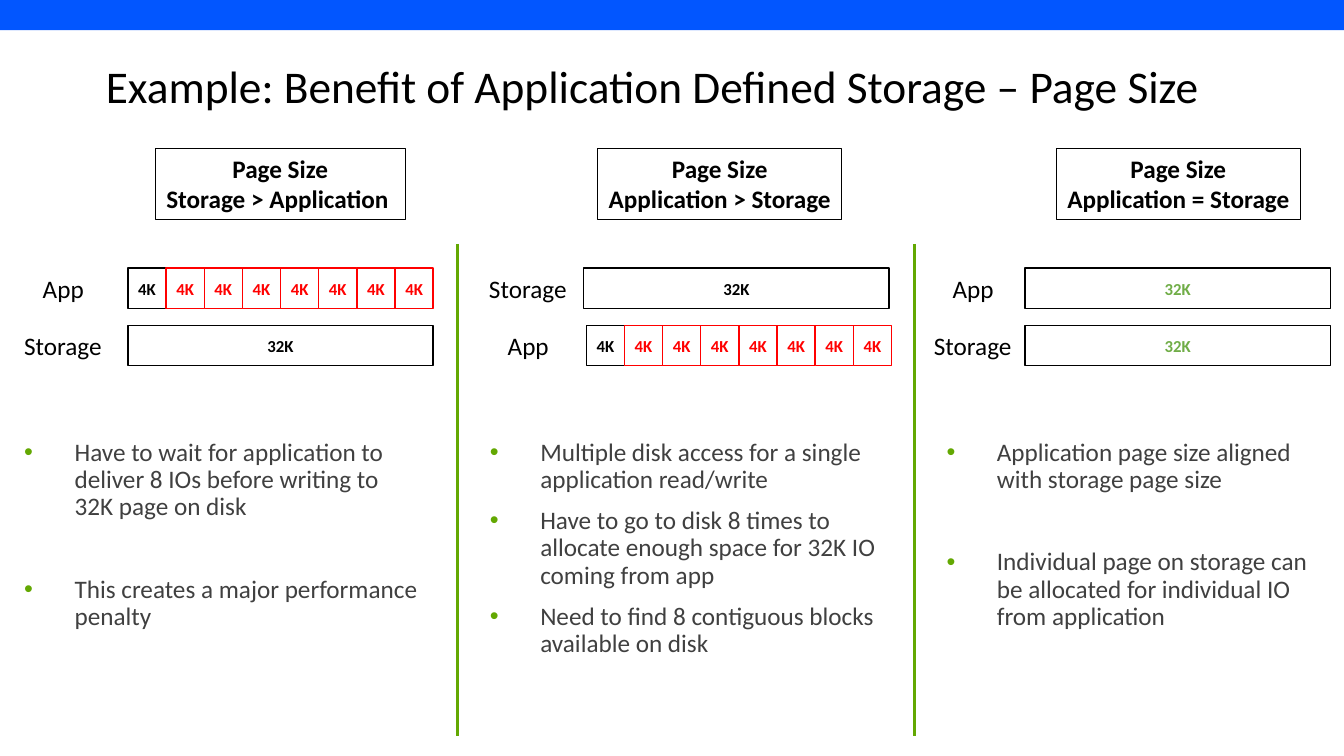
from dataclasses import dataclass
from typing import Any

from lxml import etree
from pptx import Presentation
from pptx.dml.color import RGBColor
from pptx.enum.shapes import MSO_CONNECTOR, MSO_SHAPE
from pptx.enum.text import MSO_ANCHOR, MSO_AUTO_SIZE, PP_ALIGN
from pptx.oxml.ns import qn
from pptx.util import Pt

RECTANGLE = MSO_SHAPE.RECTANGLE
STRAIGHT = MSO_CONNECTOR.STRAIGHT
TOP, MIDDLE = MSO_ANCHOR.TOP, MSO_ANCHOR.MIDDLE
NO_FIT = MSO_AUTO_SIZE.NONE
LEFT, CENTER = PP_ALIGN.LEFT, PP_ALIGN.CENTER

FONT = "Calibri"
BLACK, WHITE, RED = "000000", "FFFFFF", "FF0000"
BLUE, GREEN, LEAF, GRAY = "0256FF", "63A802", "70AD47", "404040"

PAGE_WIDTH, PAGE_HEIGHT = 960, 540
CELL_WIDTH, BAR_HEIGHT = 27.25, 29
CELL_COUNT = 8
ROW_TOPS = (191.5, 232.3)
LABEL_WIDTHS = {"App": 43.9, "Storage": 70.6}
HEADING_TOP, HEADING_HEIGHT = 106, 51
LIST_TOP = 310.3
DIVIDERS = (327, 653)
DIVIDER_TOP, DIVIDER_BOTTOM = 174.2, 525.6


@dataclass
class Row:
    label: str
    left: float
    split: bool = False
    color: str = BLACK


@dataclass
class Column:
    heading: str
    heading_left: float
    heading_width: float
    label_center: float
    rows: tuple[Row, Row]
    placeholder: int
    list_left: float
    list_width: float
    list_height: float
    list_gap: float
    points: tuple[str, ...]


COLUMNS = (
    Column("Storage > Application ", 110.9, 178.6, 45.4,
           (Row("App", 91.4, split=True), Row("Storage", 91.4)),
           1, 10.1, 298.8, 193.7, 39.5,
           ("Have to wait for application to deliver 8 IOs before writing to 32K page on disk",
            "This creates a major performance penalty")),
    Column("Application > Storage", 427, 174.2, 377.5,
           (Row("Storage", 417), Row("App", 418.8, split=True)),
           2, 342.7, 294.5, 193.7, 10,
           ("Multiple disk access for a single application read/write",
            "Have to go to disk 8 times to allocate enough space for 32K IO coming from app",
            "Need to find 8 contiguous blocks available on disk")),
    Column("Application = Storage", 754.6, 174.2, 695.3,
           (Row("App", 732.2, color=LEAF), Row("Storage", 732.2, color=LEAF)),
           4, 668.9, 282.2, 161.3, 39.5,
           ("Application page size aligned with storage page size",
            "Individual page on storage can be allocated for individual IO from application")),
)


def rgb(value: str) -> RGBColor:
    return RGBColor.from_string(value)


def apply_format(target: Any, values: dict[str, Any]) -> None:
    for name, value in values.items():
        setattr(target, name, value)


def place(shape: Any, left: float, top: float, width: float, height: float) -> None:
    apply_format(shape, {"left": Pt(left), "top": Pt(top),
                         "width": Pt(width), "height": Pt(height)})


def write(shape: Any, lines: tuple[str, ...], size: float, color: str, bold: bool = False,
          align: Any = LEFT, anchor: Any = TOP, wrap: bool = True) -> list[Any]:
    frame = shape.text_frame
    apply_format(frame, {"auto_size": NO_FIT, "word_wrap": wrap, "vertical_anchor": anchor})
    frame.text = "\n".join(lines)
    for paragraph in frame.paragraphs:
        paragraph.alignment = align
        for span in paragraph.runs:
            apply_format(span.font, {"name": FONT, "size": Pt(size), "bold": bold})
            span.font.color.rgb = rgb(color)
    return list(frame.paragraphs)


def add_box(page: Any, left: float, top: float, width: float, height: float,
            fill: str | None, line: str | None, weight: float = 1) -> Any:
    box = page.shapes.add_shape(RECTANGLE, Pt(left), Pt(top), Pt(width), Pt(height))
    box.shadow.inherit = False
    if fill:
        box.fill.solid()
        box.fill.fore_color.rgb = rgb(fill)
    else:
        box.fill.background()
    if line:
        box.line.color.rgb = rgb(line)
        box.line.width = Pt(weight)
    else:
        box.line.fill.background()
    return box


def add_divider(page: Any, left: float) -> None:
    divider = page.shapes.add_connector(
        STRAIGHT, Pt(left), Pt(DIVIDER_TOP), Pt(left), Pt(DIVIDER_BOTTOM))
    divider.line.color.rgb = rgb(GREEN)
    divider.line.width = Pt(2)
    etree.SubElement(divider._element.spPr, qn("a:effectLst"))


def add_bullet(paragraph: Any) -> None:
    properties = paragraph._p.get_or_add_pPr()
    properties.set("marL", str(Pt(36)))
    properties.set("indent", str(-Pt(36)))
    bullet_color = etree.SubElement(properties, qn("a:buClr"))
    etree.SubElement(bullet_color, qn("a:srgbClr"), val=GREEN)
    etree.SubElement(properties, qn("a:buFont"), typeface="Arial")
    etree.SubElement(properties, qn("a:buChar"), char="•")


def add_row(page: Any, row: Row, top: float, label_center: float) -> None:
    width = LABEL_WIDTHS[row.label]
    label = page.shapes.add_textbox(
        Pt(label_center - width / 2), Pt(top), Pt(width), Pt(BAR_HEIGHT))
    write(label, (row.label,), 18, BLACK, wrap=False)
    count = CELL_COUNT if row.split else 1
    cell_width = CELL_WIDTH * CELL_COUNT / count
    for index in range(count):
        line = RED if index else BLACK
        cell = add_box(page, row.left + index * cell_width, top, cell_width, BAR_HEIGHT,
                       WHITE, line)
        write(cell, ("4K" if row.split else "32K",), 12, RED if index else row.color,
              bold=True, align=CENTER, anchor=MIDDLE)


def add_column(page: Any, column: Column) -> None:
    heading = add_box(page, column.heading_left, HEADING_TOP, column.heading_width,
                      HEADING_HEIGHT, None, BLACK, 0.75)
    write(heading, ("Page Size", column.heading), 18, BLACK, bold=True,
          align=CENTER, wrap=False)
    for row, top in zip(column.rows, ROW_TOPS):
        add_row(page, row, top, column.label_center)
    body = page.placeholders[column.placeholder]
    place(body, column.list_left, LIST_TOP, column.list_width, column.list_height)
    for index, paragraph in enumerate(write(body, column.points, 18, GRAY)):
        add_bullet(paragraph)
        apply_format(paragraph, {"line_spacing": 0.9,
                                 "space_before": Pt(column.list_gap if index else 0)})


def main() -> None:
    deck = Presentation()
    deck.slide_width, deck.slide_height = Pt(PAGE_WIDTH), Pt(PAGE_HEIGHT)
    page = deck.slides.add_slide(deck.slide_layouts.get_by_name("Comparison"))

    # Top band and title
    add_box(page, 0, 0, PAGE_WIDTH, 21.6, BLUE, None)
    title = page.shapes.title
    place(title, 68.4, 28.8, 823.7, 69.1)
    heading = write(title, ("Example: Benefit of Application Defined Storage – Page Size",),
                    32.4, BLACK, anchor=MIDDLE)[0]
    heading.line_spacing = 0.9

    # Three comparisons with dividers between them
    for left in DIVIDERS:
        add_divider(page, left)
    for column in COLUMNS:
        add_column(page, column)

    # The layout offers one more text area than there are columns
    spare = page.placeholders[3]._element
    spare.getparent().remove(spare)
    deck.save("out.pptx")


if __name__ == "__main__":
    main()
